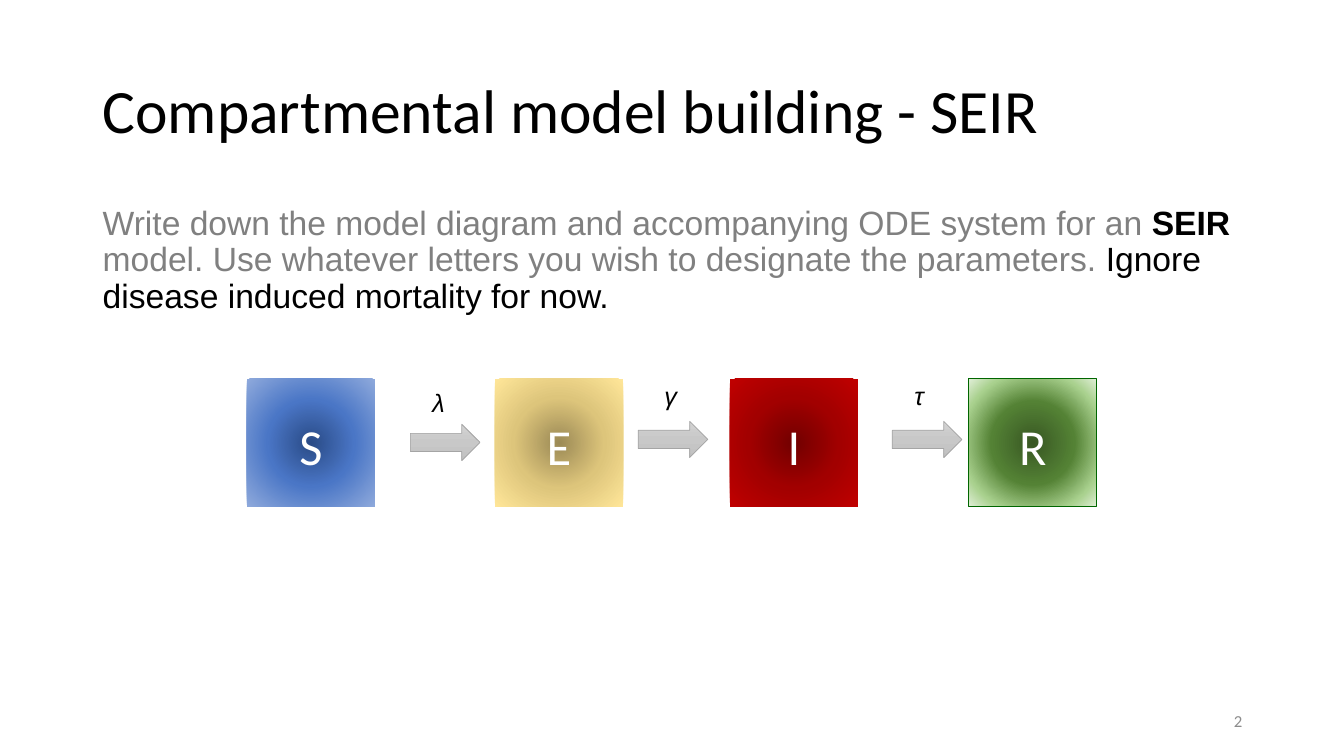
from lxml import etree
from pptx import Presentation
from pptx.dml.color import RGBColor
from pptx.enum.shapes import MSO_SHAPE
from pptx.enum.text import MSO_ANCHOR, PP_ALIGN
from pptx.oxml.ns import qn
from pptx.util import Inches, Pt

RECTANGLE = MSO_SHAPE.RECTANGLE
RIGHT_ARROW = MSO_SHAPE.RIGHT_ARROW
TOP, MIDDLE = MSO_ANCHOR.TOP, MSO_ANCHOR.MIDDLE
LEFT, CENTER, RIGHT = PP_ALIGN.LEFT, PP_ALIGN.CENTER, PP_ALIGN.RIGHT

COLORS = {
    "black": "000000",
    "white": "FFFFFF",
    "gray": "808080",
    "number": "8C8C8C",
    "arrow_line": "A5A5A5",
    "recovered_line": "006600",
}
GRADIENTS = {
    "S": [(0, "2A4B86"), (48, "4A76C6"), (100, "8FAADC")],
    "E": [(0, "9C8A56"), (50, "DDC57B"), (100, "FFE699")],
    "I": [(0, "720000"), (50, "A20000"), (100, "C00000")],
    "R": [(0, "385723"), (46, "548235"), (79, "A9D18E"), (100, "E2F0D9")],
    "arrow": [(0, "D2D2D2"), (50, "C8C8C8"), (100, "C0C0C0")],
}
BOX_TOP, BOX_SIZE = 3.76, 1.27
COMPARTMENTS = [
    ("S", 2.45, None),
    ("E", 4.91, None),
    ("I", 7.24, None),
    ("R", 9.61, "recovered_line"),
]
FLOWS = [
    ("λ", 4.07, 4.21, 4.19, 3.79),
    ("γ", 6.33, 4.18, 6.49, 3.72),
    ("τ", 8.85, 4.18, 8.97, 3.72),
]


def format_run(run, font, size, color, bold=False, italic=False):
    """Set the look of one run."""
    run.font.name = font
    run.font.size = Pt(size)
    run.font.color.rgb = RGBColor.from_string(COLORS[color])
    run.font.bold = bold
    run.font.italic = italic


def add_text(slide, bounds, runs, font, size, anchor=TOP, align=LEFT,
             spacing=None, italic=False):
    """Add a text box holding one paragraph of (text, color, bold) runs."""
    box = slide.shapes.add_textbox(*map(Inches, bounds))
    frame = box.text_frame
    frame.word_wrap = True
    frame.vertical_anchor = anchor
    paragraph = frame.paragraphs[0]
    paragraph.alignment = align
    if spacing:
        paragraph.line_spacing = spacing
    for text, color, bold in runs:
        run = paragraph.add_run()
        run.text = text
        format_run(run, font, size, color, bold, italic)


def set_gradient(shape, stops, radial):
    """Fill a shape with a radial or a downward gradient."""
    shape.fill.gradient()
    gradient = shape.element.spPr.find(qn("a:gradFill"))
    for child in list(gradient):
        gradient.remove(child)
    stop_list = etree.SubElement(gradient, qn("a:gsLst"))
    for position, color in stops:
        stop = etree.SubElement(stop_list, qn("a:gs"), pos=str(position * 1000))
        etree.SubElement(stop, qn("a:srgbClr"), val=color)
    if radial:
        direction = etree.SubElement(gradient, qn("a:path"), path="circle")
        sides = dict.fromkeys("ltrb", "50000")
        etree.SubElement(direction, qn("a:fillToRect"), **sides)
    else:
        etree.SubElement(gradient, qn("a:lin"), ang="5400000", scaled="0")


def add_gradient_shape(slide, kind, bounds, stops, radial, line, width):
    """Add a preset shape with a gradient fill and an optional outline."""
    shape = slide.shapes.add_shape(kind, *map(Inches, bounds))
    shape.shadow.inherit = False
    set_gradient(shape, stops, radial)
    if line:
        shape.line.color.rgb = RGBColor.from_string(COLORS[line])
        shape.line.width = Pt(width)
    else:
        shape.line.fill.background()
    return shape


def add_compartment(slide, letter, left, line):
    """Add a lettered compartment box."""
    bounds = (left, BOX_TOP, BOX_SIZE, BOX_SIZE)
    shape = add_gradient_shape(slide, RECTANGLE, bounds, GRADIENTS[letter],
                               True, line, 0.75)
    frame = shape.text_frame
    frame.vertical_anchor = TOP
    frame.margin_top = Inches(0.36)
    frame.text = letter
    paragraph = frame.paragraphs[0]
    paragraph.alignment = CENTER
    format_run(paragraph.runs[0], "Calibri", 36, "white")


def add_flow(slide, rate, left, top, label_left, label_top):
    """Add a flow arrow with its rate above."""
    add_gradient_shape(slide, RIGHT_ARROW, (left, top, 0.69, 0.36),
                       GRADIENTS["arrow"], False, "arrow_line", 0.5)
    add_text(slide, (label_left, label_top, 0.44, 0.39),
             [(rate, "black", False)], "Arial", 18, italic=True)


def main():
    """Build the slide and save it."""
    presentation = Presentation()
    presentation.slide_width = Inches(13.33)
    presentation.slide_height = Inches(7.5)
    slide = presentation.slides.add_slide(presentation.slide_layouts[6])
    add_text(slide, (0.92, 0.4, 11.5, 1.45),
             [("Compartmental model building - SEIR", "black", False)],
             "Calibri", 44, anchor=MIDDLE, spacing=0.9)
    add_text(slide, (0.92, 2, 11.9, 4.76), [
        ("Write down the model diagram and accompanying ODE system for an ",
         "gray", False),
        ("SEIR", "black", True),
        (" model. Use whatever letters you wish to designate the parameters. ",
         "gray", False),
        ("Ignore disease induced mortality for now.", "black", False),
    ], "Arial", 24, spacing=0.9)
    add_text(slide, (9.42, 6.95, 3, 0.4), [("2", "number", False)],
             "Calibri", 12, anchor=MIDDLE, align=RIGHT)
    for compartment in COMPARTMENTS:
        add_compartment(slide, *compartment)
    for flow in FLOWS:
        add_flow(slide, *flow)
    presentation.save("out.pptx")


if __name__ == "__main__":
    main()
